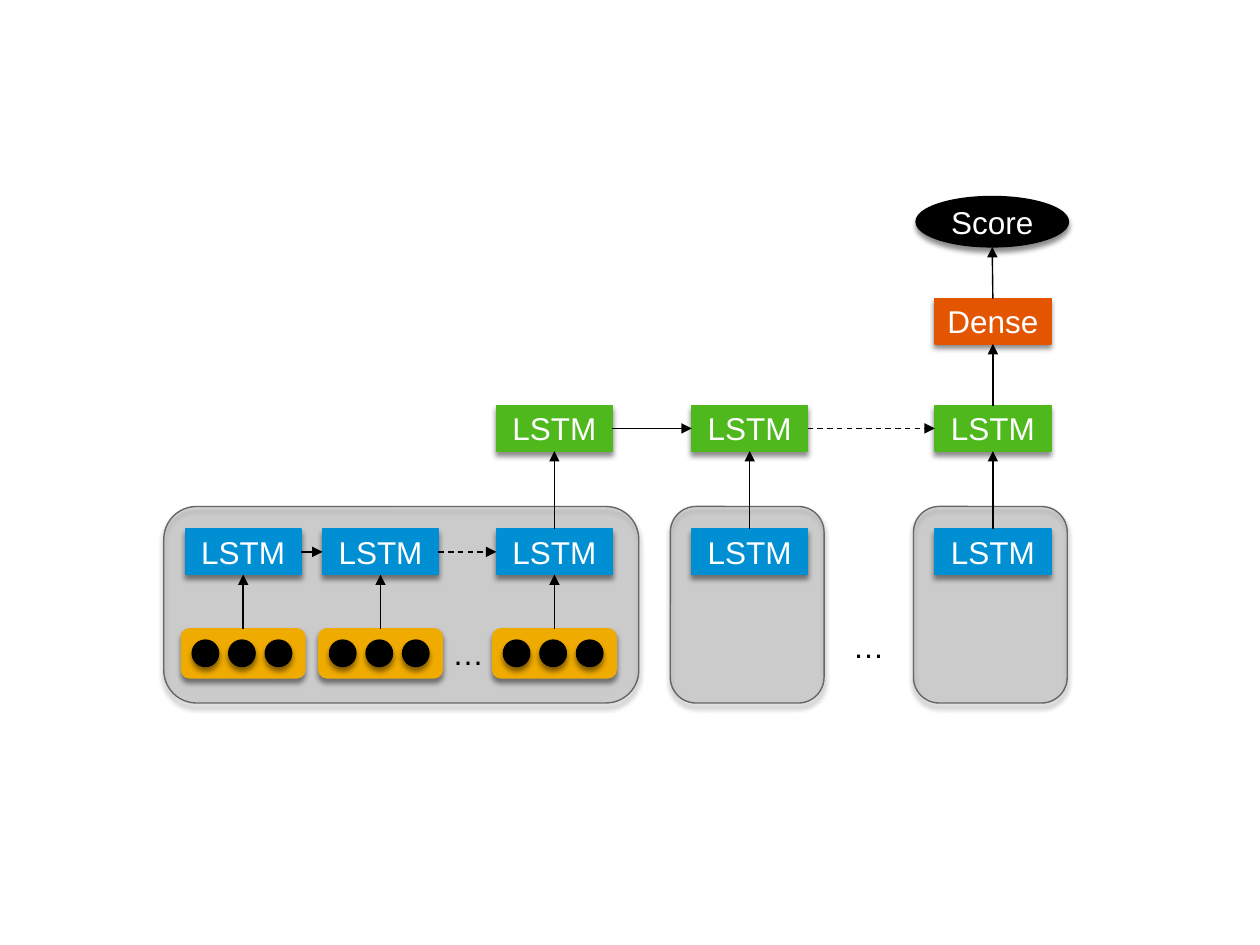
from lxml import etree
from pptx import Presentation
from pptx.dml.color import RGBColor
from pptx.enum import dml, shapes, text
from pptx.oxml import parse_xml
from pptx.oxml.ns import qn
from pptx.util import Inches, Pt

KIND = shapes.MSO_SHAPE
TOP, LEFT, BOTTOM, RIGHT = range(4)
BLACK, WHITE, GREY = "000000", "FFFFFF", "666666"
BLUE, GREEN, GOLD, RED = "008FD3", "4FB81C", "F0AB00", "E35500"
NODE_W, NODE_H = 0.92, 0.36
WORD_Y, SENT_Y = 4.2, 3.22
SHADOW = (
    '<a:effectLst xmlns:a="http://schemas.openxmlformats.org/drawingml/2006/main">'
    '<a:outerShdw blurRad="38100" dist="30480" dir="5400000" rotWithShape="0">'
    '<a:srgbClr val="000000"><a:alpha val="45000"/></a:srgbClr>'
    '</a:outerShdw></a:effectLst>')


def color(fmt, code):
    fmt.solid()
    fmt.fore_color.rgb = RGBColor.from_string(code)


def write(frame, words, size=18, code=WHITE, align=text.PP_ALIGN.CENTER,
          inset=(0.1, 0.08), wrap=True, anchor=text.MSO_ANCHOR.MIDDLE):
    frame.margin_left = frame.margin_right = Inches(inset[0])
    frame.margin_top = frame.margin_bottom = Inches(inset[1])
    frame.word_wrap = wrap
    frame.vertical_anchor = anchor
    para = frame.paragraphs[0]
    para.alignment = align
    run = para.add_run()
    run.text = words
    run.font.name = "Arial"
    run.font.size = Pt(size)
    color(run.font.fill, code)


def shape(slide, kind, box, code, words=None, alpha=None):
    item = slide.shapes.add_shape(kind, *map(Inches, box))
    color(item.fill, code)
    color(item.line.fill, code)
    item.line.width = Pt(0.79)
    props = item._element.spPr
    if alpha:
        tone = props.find(qn("a:solidFill"))[0]
        etree.SubElement(tone, qn("a:alpha"), val=str(alpha * 1000))
    props.append(parse_xml(SHADOW))
    if words:
        write(item.text_frame, words)
    return item


def node(slide, mid, top, code, words="LSTM"):
    box = (mid - NODE_W / 2, top, NODE_W, NODE_H)
    return shape(slide, KIND.RECTANGLE, box, code, words)


def panel(slide, box):
    return shape(slide, KIND.ROUNDED_RECTANGLE, box, GREY, alpha=21)


def arrow(slide, start, end, ends=(TOP, BOTTOM), dash=False):
    """Join the sides of two shapes with an arrow."""
    line = slide.shapes.add_connector(shapes.MSO_CONNECTOR.STRAIGHT, 0, 0, 0, 0)
    line.begin_connect(start, ends[0])
    if end.auto_shape_type == KIND.OVAL:
        # An oval numbers its sites differently, so only meet its bottom
        line.end_x = end.left + end.width // 2
        line.end_y = end.top + end.height
    else:
        line.end_connect(end, ends[1])
    color(line.line.fill, BLACK)
    line.line.width = Pt(0.79)
    if dash:
        line.line.dash_style = dml.MSO_LINE.DASH
    etree.SubElement(line.line._get_or_add_ln(), qn("a:tailEnd"), type="triangle")
    etree.SubElement(line._element.spPr, qn("a:effectLst"))


def chain(slide, nodes):
    """Link a row of three, with a dashed jump to the last."""
    first, second, last = nodes
    arrow(slide, first, second, (RIGHT, LEFT))
    arrow(slide, second, last, (RIGHT, LEFT), dash=True)


def dots(slide, left, top):
    area = slide.shapes.add_textbox(*map(Inches, (left, top, 0.25, 0.3)))
    write(area.text_frame, "…", code=BLACK, align=text.PP_ALIGN.LEFT,
          inset=(0, 0), wrap=False, anchor=text.MSO_ANCHOR.TOP)


def embed(slide, mid, top):
    """Word vector: a pill that holds three dots."""
    wide, high, size, step = 0.98, 0.39, 0.21, 0.29
    pill = shape(slide, KIND.ROUNDED_RECTANGLE,
                 (mid - wide / 2, top, wide, high), GOLD)
    for i in (-1, 0, 1):
        box = (mid - 0.01 + i * step - size / 2, top + (high - size) / 2, size, size)
        shape(slide, KIND.OVAL, box, BLACK)
    return pill


def words(slide, box):
    """First sentence, word by word; returns its last cell."""
    left, top = box[:2]
    panel(slide, box)
    mids = [left + gap for gap in (0.63, 1.72, 3.1)]
    pills = [embed(slide, mid, top + 0.97) for mid in mids]
    cells = [node(slide, mid, WORD_Y, BLUE) for mid in mids]
    chain(slide, cells)
    for pill, cell in zip(pills, cells):
        arrow(slide, pill, cell)
    dots(slide, left + 2.29, top + 1.01)
    return cells[-1]


def brief(slide, box):
    """A further sentence, shown by its last cell only."""
    panel(slide, box)
    return node(slide, box[0] + box[2] / 2 + 0.02, WORD_Y, BLUE)


def upper(slide, mids, cells):
    """Sentence level row, then the dense layer and the score."""
    row = [node(slide, mid, SENT_Y, GREEN) for mid in mids]
    for cell, sent in zip(cells, row):
        arrow(slide, cell, sent)
    chain(slide, row)
    dense = node(slide, mids[-1], 2.37, RED, "Dense")
    score = shape(slide, KIND.OVAL, (mids[-1] - 0.61, 1.56, 1.21, 0.4),
                  BLACK, "Score")
    arrow(slide, row[-1], dense)
    arrow(slide, dense, score)


def main():
    deck = Presentation()
    deck.slide_width, deck.slide_height = Inches(10), Inches(7.5)
    slide = deck.slides.add_slide(deck.slide_layouts[6])
    top, high = 4.02, 1.56
    cells = [words(slide, (1.3, top, 3.77, high))]
    cells += [brief(slide, (left, top, 1.22, high)) for left in (5.32, 7.25)]
    dots(slide, 6.77, 4.98)
    upper(slide, (4.4, 5.95, 7.88), cells)
    deck.save("out.pptx")


if __name__ == "__main__":
    main()
